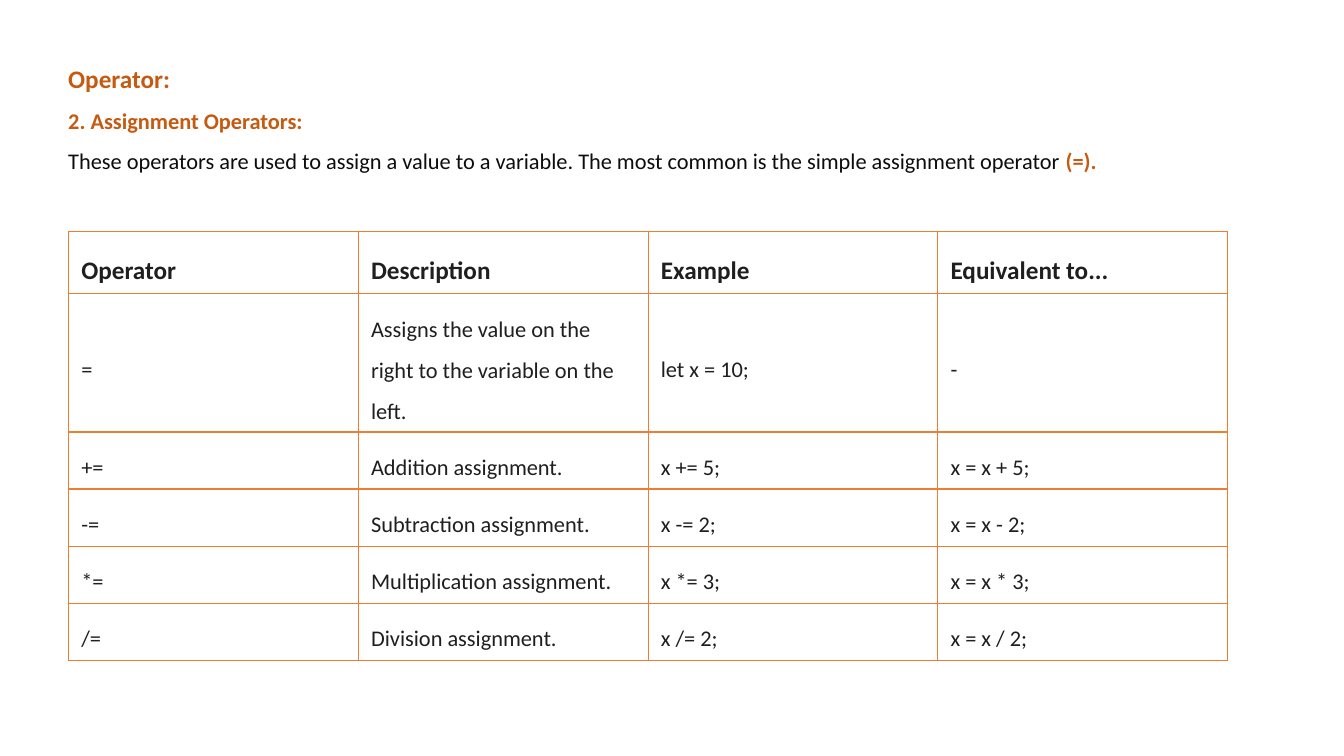
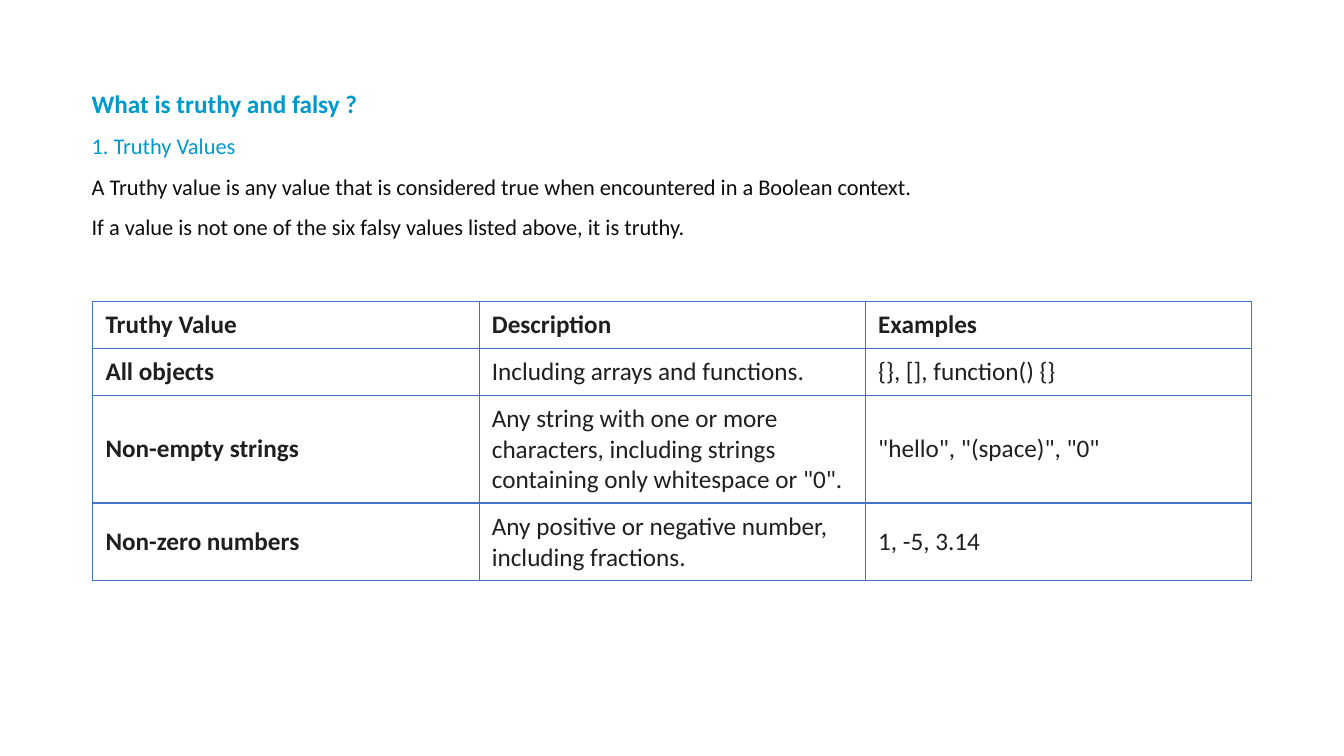
from lxml import etree
from pptx import Presentation
from pptx import util as u
from pptx.dml import color
from pptx.enum import text
from pptx.oxml import ns

COLORS = {
    "rust": "C55A11",
    "cyan": "0099CC",
    "body": "0D0D0D",
    "cell": "1F1F1F",
    "orange": "ED7D31",
    "blue": "4472C4",
}
FONT = "Calibri"


def add_run(paragraph, words, *, size=16, color_name="body", bold=False):
    """Append formatted text to a paragraph."""
    run = paragraph.add_run()
    run.text = words
    run.font.name = FONT
    run.font.size = u.Pt(size)
    run.font.bold = bold
    run.font.color.rgb = color.RGBColor.from_string(COLORS[color_name])


class Deck:
    """Holds the shared style and the current slide."""

    def __init__(self):
        self.presentation = Presentation()
        self.presentation.slide_width = u.Cm(33.87)
        self.presentation.slide_height = u.Cm(19.05)
        self.slide = None

    def new_slide(self):
        self.slide = self.presentation.slides.add_slide(self.presentation.slide_layouts[6])

    def intro(self, left, top, width, height, paragraphs):
        """Text box; each paragraph is a list of (words, format) runs."""
        shape = self.slide.shapes.add_textbox(u.Cm(left), u.Cm(top), u.Cm(width), u.Cm(height))
        frame = shape.text_frame
        frame.word_wrap = True
        frame.auto_size = text.MSO_AUTO_SIZE.SHAPE_TO_FIT_TEXT
        for index, runs in enumerate(paragraphs):
            paragraph = frame.add_paragraph() if index else frame.paragraphs[0]
            paragraph.line_spacing = 1.5
            for words, style in runs:
                add_run(paragraph, words, **style)

    def table(self, left, top, heights, rows, *, border, body_size, spacing=1.0,
              bold_first_column=False, width=29.21):
        """Outlined table with equal columns and a bold header row."""
        shape = self.slide.shapes.add_table(
            len(rows), len(rows[0]), u.Cm(left), u.Cm(top), u.Cm(width), u.Cm(sum(heights)))
        table = shape.table
        table.first_row = table.horz_banding = False
        for column in table.columns:
            column.width = u.Cm(width / len(rows[0]))
        for i, (height, row) in enumerate(zip(heights, rows)):
            table.rows[i].height = u.Cm(height)
            for j, words in enumerate(row):
                cell = table.cell(i, j)
                cell.fill.background()
                cell.vertical_anchor = text.MSO_ANCHOR.MIDDLE
                cell.margin_left = cell.margin_right = u.Cm(0.32)
                cell.margin_top = cell.margin_bottom = u.Cm(0.21)
                self.cell_borders(cell, border)
                paragraph = cell.text_frame.paragraphs[0]
                paragraph.line_spacing = spacing
                add_run(paragraph, words, color_name="cell", size=body_size if i else 18,
                        bold=i == 0 or (bold_first_column and j == 0))

    @staticmethod
    def cell_borders(cell, border):
        properties = cell._tc.get_or_add_tcPr()
        for index, side in enumerate(("a:lnL", "a:lnR", "a:lnT", "a:lnB")):
            line = etree.Element(ns.qn(side), w=str(u.Pt(1)))
            fill = etree.SubElement(line, ns.qn("a:solidFill"))
            etree.SubElement(fill, ns.qn("a:srgbClr"), val=COLORS[border])
            properties.insert(index, line)


def main():
    deck = Deck()

    # Assignment operators
    deck.new_slide()
    accent = {"color_name": "rust", "bold": True}
    deck.intro(1.47, 1.09, 29.49, 3.35, [
        [("Operator:", {**accent, "size": 18})],
        [("2. Assignment Operators:", accent)],
        [("These operators are used to assign a value to a variable. "
          "The most common is the simple assignment operator ", {}), ("(=).", accent)],
    ])
    compound = [("+", "Addition", 5), ("-", "Subtraction", 2),
                ("*", "Multiplication", 3), ("/", "Division", 2)]
    operators = [
        ("Operator", "Description", "Example", "Equivalent to..."),
        ("=", "Assigns the value on the right to the variable on the left.", "let x = 10;", "-"),
    ] + [(f"{sign}=", f"{name} assignment.", f"x {sign}= {value};", f"x = x {sign} {value};")
         for sign, name, value in compound]
    deck.table(1.73, 5.84, [1.55, 3.48] + [1.44] * 4, operators,
               border="orange", body_size=16, spacing=1.5)

    # Truthy values
    deck.new_slide()
    deck.intro(2.06, 1.73, 28.6, 4.39, [
        [("What is truthy and falsy ?", {"color_name": "cyan", "size": 18, "bold": True})],
        [("1. Truthy Values", {"color_name": "cyan"})],
        [("A Truthy value is any value that is considered true when encountered "
          "in a Boolean context.", {})],
        [("If a value is not one of the six falsy values listed above, it is truthy.", {})],
    ])
    truthy_values = [
        ("Truthy Value", "Description", "Examples"),
        ("All objects", "Including arrays and functions.", "{}, [], function() {}"),
        ("Non-empty strings", "Any string with one or more characters, including strings "
         'containing only whitespace or "0".', '"hello", "(space)", "0"'),
        ("Non-zero numbers", "Any positive or negative number, including fractions.",
         "1, -5, 3.14"),
    ]
    deck.table(2.34, 7.59, [1.18, 1.18, 2.72, 1.94], truthy_values,
               border="blue", body_size=18, bold_first_column=True)

    deck.presentation.save("out.pptx")


if __name__ == "__main__":
    main()
